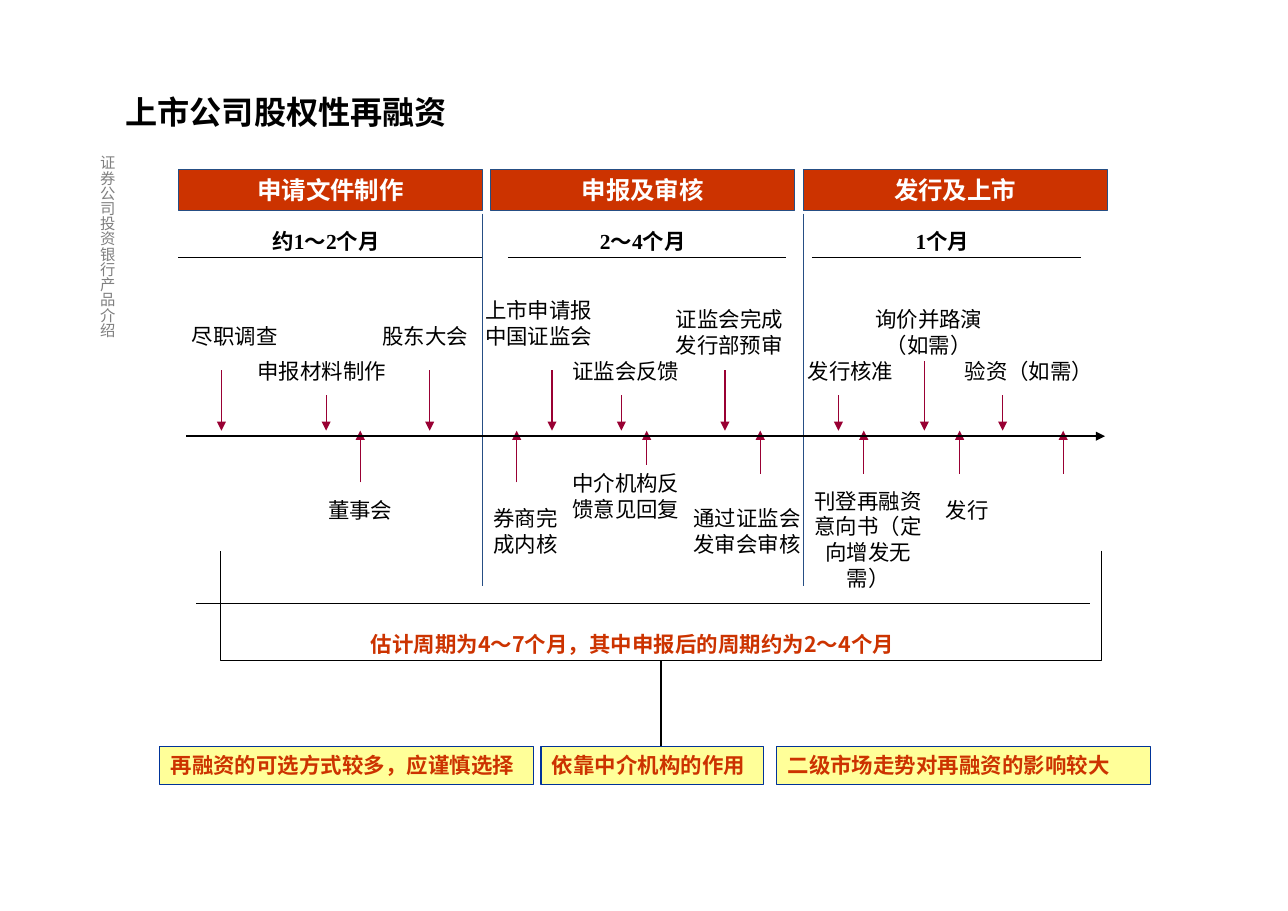
from pptx import Presentation
from pptx.dml.color import RGBColor
from pptx.enum.shapes import MSO_CONNECTOR, MSO_SHAPE
from pptx.enum.text import MSO_ANCHOR, PP_ALIGN
from pptx.oxml.ns import qn
from pptx.util import Inches, Pt
from lxml.etree import SubElement

COLORS = {"black": "000000", "white": "FFFFFF", "gray": "808080", "red": "CC3300",
          "wine": "990033", "blue": "264E84", "navy": "003399", "yellow": "FFFF99"}
SANS, SERIF, SIDE = "Noto Sans CJK SC", "Times New Roman", "Roboto"

TITLE = "上市公司股权性再融资"
SIDE_LABEL = "证券公司投资银行产品介绍"
SUMMARY = "估计周期为4～7个月，其中申报后的周期约为2～4个月"

# phase, duration, duration left, duration width, rule width
PHASES = [
    ("申请文件制作", "约1～2个月", 1.62, 2.68, 2.76),
    ("申报及审核", "2～4个月", 4.61, 2.45, 2.52),
    ("发行及上市", "1个月", 7.37, 2.37, 2.44),
]
# step, left, top, width, lines, arrow x, arrow start y
STEPS = [
    ("尽职调查", 1.54, 2.88, 1.18, 1, 2.01, 3.36),
    ("申报材料制作", 2.17, 3.2, 1.5, 1, 2.96, 3.59),
    ("董事会", 2.8, 4.46, 0.94, 1, 3.27, 4.38),
    ("股东大会", 3.27, 2.88, 1.18, 1, 3.9, 3.36),
    ("券商完成内核", 4.3, 4.54, 0.94, 2, 4.69, 4.38),
    ("上市申请报中国证监会", 4.3, 2.65, 1.18, 2, 5.01, 3.36),
    ("证监会反馈", 5.09, 3.2, 1.18, 1, 5.64, 3.59),
    ("中介机构反馈意见回复", 5.09, 4.22, 1.18, 2, 5.87, 4.22),
    ("证监会完成发行部预审", 6.03, 2.73, 1.18, 2, 6.58, 3.36),
    ("通过证监会发审会审核", 6.11, 4.54, 1.34, 2, 6.9, 4.3),
    ("发行核准", 7.13, 3.2, 1.18, 1, 7.61, 3.59),
    ("刊登再融资意向书（定向增发无需）", 7.29, 4.38, 1.18, 4, 7.84, 4.3),
    ("询价并路演（如需）", 7.84, 2.73, 1.18, 2, 8.39, 3.28),
    ("发行", 8.31, 4.46, 0.94, 1, 8.71, 4.3),
    ("验资（如需）", 8.63, 3.2, 1.42, 1, 9.1, 3.59),
    ("", 0, 0, 0, 0, 9.65, 4.3),
]
NOTES = [
    ("再融资的可选方式较多，应谨慎选择", 1.45, 3.39),
    ("依靠中介机构的作用", 4.91, 2.02),
    ("二级市场走势对再融资的影响较大", 7.05, 3.39),
]
BRACE_CURVES = [
    [(9.89, 5.38), (9.89, 5.71), (9.55, 6.05), (9.21, 6.05)],
    [(6.4, 6.04), (6.06, 6.04), (5.72, 6.37), (5.72, 6.71)],
    [(5.72, 6.71), (5.72, 6.37), (5.39, 6.03), (5.05, 6.03)],
    [(2.45, 6.02), (2.11, 6.02), (1.78, 5.69), (1.78, 5.35)],
]
PHASE_LEFT, PHASE_WIDTH, PHASE_PITCH = 1.62, 2.76, 2.835
LINE_HEIGHT, TIP_Y = 0.235, 3.91

prs = Presentation()
prs.slide_width, prs.slide_height = Inches(11.69), Inches(8.27)
slide = prs.slides.add_slide(prs.slide_layouts[6])
shapes = slide.shapes


def rgb(name):
    return RGBColor.from_string(COLORS[name])


def write(shape, text, size=14, color="black", bold=False, font=SERIF,
          align=PP_ALIGN.CENTER, anchor=MSO_ANCHOR.TOP, spacing=None, inset=None, wrap=True):
    frame = shape.text_frame
    frame_format = {"word_wrap": wrap, "vertical_anchor": anchor}
    if inset is not None:
        frame_format.update({f"margin_{side}": inset for side in ("left", "top", "right", "bottom")})
    for key, value in frame_format.items():
        setattr(frame, key, value)
    paragraph = frame.paragraphs[0]
    paragraph.alignment = align
    paragraph.line_spacing = Pt(spacing or size * 1.2)
    run = paragraph.add_run()
    run.text = text
    for key, value in {"size": Pt(size), "bold": bold, "name": font}.items():
        setattr(run.font, key, value)
    run.font.color.rgb = rgb(color)
    SubElement(run.font._element, qn("a:ea"), typeface=SANS)


def add_label(box, text, **style):
    label = shapes.add_textbox(*map(Inches, box))
    write(label, text, **style)
    return label


def add_box(box, text, fill, outline, **style):
    panel = shapes.add_shape(MSO_SHAPE.RECTANGLE, *map(Inches, box))
    panel.shadow.inherit = False
    panel.fill.solid()
    panel.fill.fore_color.rgb = rgb(fill)
    panel.line.color.rgb = rgb(outline)
    panel.line.width = Pt(0.74)
    write(panel, text, bold=True, **style)


def add_line(x1, y1, x2, y2, color="black", width=0.74, arrow=False):
    line = shapes.add_connector(MSO_CONNECTOR.STRAIGHT, *map(Inches, (x1, y1, x2, y2)))
    line.line.color.rgb = rgb(color)
    line.line.width = Pt(width)
    if arrow:
        SubElement(line.line._get_or_add_ln(), qn("a:tailEnd"), type="triangle")
    SubElement(line._element.spPr, qn("a:effectLst"))


def bezier(points, steps=24):
    for i in range(steps + 1):
        t = i / steps
        weights = ((1 - t) ** 3, 3 * t * (1 - t) ** 2, 3 * t * t * (1 - t), t ** 3)
        yield tuple(sum(w * p[axis] for w, p in zip(weights, points)) for axis in (0, 1))


add_label((1.14, 0.5, 8.17, 0.69), TITLE, size=21, bold=True, font=SANS, spacing=25,
          align=PP_ALIGN.LEFT, anchor=MSO_ANCHOR.BOTTOM, inset=0)
side_label = add_label((0.89, 1.41, 0.23, 6.45), SIDE_LABEL, size=10, color="gray", font=SIDE,
                       align=PP_ALIGN.RIGHT, anchor=MSO_ANCHOR.BOTTOM, inset=0, wrap=False)
side_label.text_frame._txBody.bodyPr.set("vert", "eaVert")

for i, (phase, duration, left, width, rule) in enumerate(PHASES):
    add_box((PHASE_LEFT + i * PHASE_PITCH, 1.54, PHASE_WIDTH, 0.37), phase,
            "red", "blue", size=16, color="white")
    add_label((left, 2.02, width, 0.34), duration, bold=True)
    add_line(left, 2.34, left + rule, 2.34)

for x in (4.38, 7.29):
    add_line(x, 1.94, x, 5.32, "blue")

for step, left, top, width, lines, x, start in STEPS:
    add_line(x, start, x, TIP_Y, "wine", arrow=True)
    if step:
        add_label((left, top, width, 0.1 + lines * LINE_HEIGHT), step)

add_line(1.78, 5.48, 9.89, 5.48)
brace_points = [point for curve in BRACE_CURVES for point in bezier(curve)]
builder = shapes.build_freeform(*brace_points[0], scale=Inches(1))
builder.add_line_segments(brace_points[1:], close=False)
brace = builder.convert_to_shape()
brace.shadow.inherit = False
brace.fill.background()
brace.line.color.rgb = rgb("black")
brace.line.width = Pt(0.74)
add_label((3.18, 5.68, 5.12, 0.57), SUMMARY, color="red", bold=True, font=SANS)

for note, left, width in NOTES:
    add_box((left, 6.78, width, 0.34), note, "yellow", "navy", color="red", align=PP_ALIGN.LEFT)

add_line(1.69, 3.96, 10.03, 3.96, width=1.5, arrow=True)

prs.save("out.pptx")
